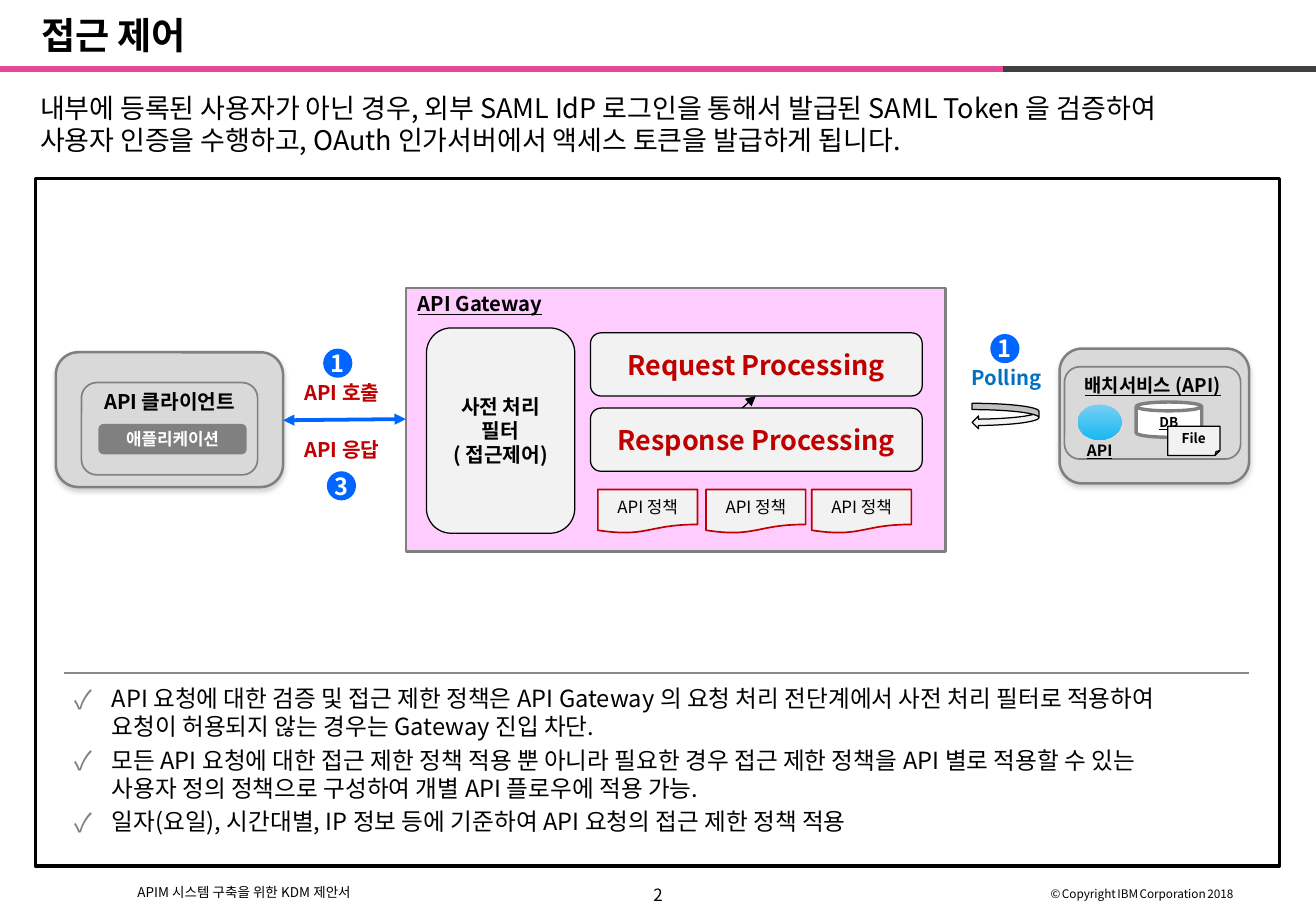
from lxml.etree import SubElement
from pptx import Presentation
from pptx.dml.color import RGBColor
from pptx.enum.shapes import MSO_CONNECTOR, MSO_SHAPE as SHAPE
from pptx.enum.text import MSO_ANCHOR as ANCHOR, PP_ALIGN as ALIGN
from pptx.oxml.ns import qn
from pptx.util import Inches, Pt

FONT = "Noto Sans CJK KR"
BLACK = RGBColor(0x00, 0x00, 0x00)
WHITE = RGBColor(0xFF, 0xFF, 0xFF)
PINK = RGBColor(0xE5, 0x49, 0x95)
CHARCOAL = RGBColor(0x40, 0x40, 0x40)
GRAY = RGBColor(0x80, 0x80, 0x80)
BULLET_GRAY = RGBColor(0x7F, 0x7F, 0x7F)
DIVIDER_GRAY = RGBColor(0x8A, 0x8A, 0x8A)
PANEL_GRAY = RGBColor(0xD9, 0xD9, 0xD9)
PALE_GRAY = RGBColor(0xF2, 0xF2, 0xF2)
LILAC = RGBColor(0xFF, 0xCC, 0xFF)
RED = RGBColor(0xC0, 0x00, 0x00)
BLUE = RGBColor(0x00, 0x66, 0xFF)
POLLING_BLUE = RGBColor(0x00, 0x70, 0xC0)
SKY_LIGHT = RGBColor(0x77, 0xCF, 0xF5)
SKY_DARK = RGBColor(0x19, 0xB9, 0xF0)

presentation = Presentation()
presentation.slide_width = Inches(10.83)
presentation.slide_height = Inches(7.5)
slide = presentation.slides.add_slide(presentation.slide_layouts[6])


def add_run(paragraph, text, size, color=BLACK, bold=False, underline=False):
    run = paragraph.add_run()
    run.text = text
    values = {"name": FONT, "size": Pt(size), "bold": bold, "underline": underline}
    for name, value in values.items():
        setattr(run.font, name, value)
    run.font.color.rgb = color
    SubElement(run.font._element, qn("a:ea"), typeface=FONT)


def add_item(kind, box, texts=(), fill=None, line=None, width=0.75, inset=(0.04, 0.04),
             anchor=ANCHOR.MIDDLE, align=ALIGN.CENTER, wrap=True, spacing=1.0, **font):
    lengths = [Inches(value) for value in box]
    if kind is None:
        shape = slide.shapes.add_textbox(*lengths)
    else:
        shape = slide.shapes.add_shape(kind, *lengths)
        shape.shadow.inherit = False
        if fill is None:
            shape.fill.background()
        else:
            shape.fill.solid()
            shape.fill.fore_color.rgb = fill
        if line is None:
            shape.line.fill.background()
        else:
            shape.line.color.rgb = line
            shape.line.width = Pt(width)
    frame = shape.text_frame
    side, top = Inches(inset[0]), Inches(inset[1])
    values = {"margin_left": side, "margin_right": side, "margin_top": top,
              "margin_bottom": top, "vertical_anchor": anchor, "word_wrap": wrap}
    for name, value in values.items():
        setattr(frame, name, value)
    for index, text in enumerate(texts):
        paragraph = frame.add_paragraph() if index else frame.paragraphs[0]
        paragraph.alignment = align
        paragraph.line_spacing = spacing
        add_run(paragraph, text, **font)
    return shape


add_item(None, (0.3, 0.1, 10.24, 0.42), ["접근 제어"], align=ALIGN.LEFT, spacing=0.9,
         size=22, bold=True)
add_item(None, (0.29, 0.71, 9.9, 0.76),
         ["내부에 등록된 사용자가 아닌 경우, 외부 SAML IdP 로그인을 통해서 발급된 SAML Token 을 검증하여 "
          "사용자 인증을 수행하고, OAuth 인가서버에서 액세스 토큰을 발급하게 됩니다."],
         anchor=ANCHOR.TOP, align=ALIGN.LEFT, size=16)
add_item(SHAPE.RECTANGLE, (0.29, 1.47, 10.24, 5.66), line=BLACK, width=2)

for box in [(0.46, 2.9, 1.87, 1.11), (8.72, 2.87, 1.56, 1.11)]:
    panel = add_item(SHAPE.ROUNDED_RECTANGLE, box, fill=PANEL_GRAY, line=GRAY, width=1.5)
    effects = panel._element.spPr.find(qn("a:effectLst"))
    shadow = SubElement(effects, qn("a:outerShdw"), blurRad=str(Pt(3.1)),
                        dist=str(Pt(1.8)), dir="5400000", rotWithShape="0")
    shadow_color = SubElement(shadow, qn("a:srgbClr"), val=str(GRAY))
    SubElement(shadow_color, qn("a:alpha"), val="35000")

for left, top, text, size, underline in [
    (0.67, 3.15, "API 클라이언트", 12, False),
    (8.76, 3.02, "배치서비스 (API)", 11.1, True),
]:
    add_item(SHAPE.ROUNDED_RECTANGLE, (left, top, 1.45, 0.76), [text], line=GRAY, width=1,
             anchor=ANCHOR.TOP, spacing=0.9, size=size, bold=True, underline=underline)
add_item(SHAPE.ROUNDED_RECTANGLE, (0.81, 3.49, 1.22, 0.25), ["애플리케이션"], fill=GRAY,
         size=10, color=WHITE, bold=True)

api_circle = add_item(SHAPE.OVAL, (8.87, 3.33, 0.36, 0.29))
api_circle.fill.gradient()
api_circle.fill.gradient_angle = 270
for stop, position, color in zip(api_circle.fill.gradient_stops, (0, 1), (SKY_LIGHT, SKY_DARK)):
    stop.position = position
    stop.color.rgb = color
add_item(None, (8.75, 3.59, 0.6, 0.23), ["API"], anchor=ANCHOR.TOP,
         size=9.2, bold=True, underline=True)
add_item(SHAPE.CAN, (9.35, 3.31, 0.54, 0.29), ["DB"], fill=WHITE, line=GRAY, width=2,
         inset=(0.1, 0.05), size=8, bold=True, underline=True)
add_item(SHAPE.FOLDED_CORNER, (9.61, 3.51, 0.43, 0.24), ["File"], fill=PALE_GRAY,
         line=BLACK, inset=(0.1, 0.05), wrap=False, size=8, bold=True)
add_item(SHAPE.CURVED_LEFT_ARROW, (8, 3.32, 0.55, 0.21), fill=PALE_GRAY, line=BLACK)

add_item(SHAPE.RECTANGLE, (3.34, 2.37, 4.44, 2.17), ["API Gateway"], fill=LILAC, line=GRAY,
         width=1.5, inset=(0.1, 0.05), anchor=ANCHOR.TOP, align=ALIGN.LEFT, spacing=0.9,
         size=12, bold=True, underline=True)
processing = {"fill": PALE_GRAY, "line": BLACK, "inset": (0.1, 0.05), "wrap": False, "bold": True}
add_item(SHAPE.ROUNDED_RECTANGLE, (4.86, 2.74, 2.73, 0.52), ["Request Processing"],
         size=16, color=RED, **processing)

for start_x, start_y, end_x, end_y, color, width, arrows in [
    (0, 0.57, 10.83, 0.57, PINK, 3.5, []),
    (8.25, 0.57, 10.83, 0.57, CHARCOAL, 3.5, []),
    (2.33, 3.46, 3.34, 3.45, BLUE, 2.25, ["a:headEnd", "a:tailEnd"]),
    (5.62, 3.79, 6.22, 3.26, BLACK, 0.75, ["a:tailEnd"]),
    (0.53, 5.54, 10.28, 5.54, DIVIDER_GRAY, 1, []),
]:
    connector = slide.shapes.add_connector(
        MSO_CONNECTOR.STRAIGHT, Inches(start_x), Inches(start_y), Inches(end_x), Inches(end_y))
    connector.line.color.rgb = color
    connector.line.width = Pt(width)
    for arrow in arrows:
        SubElement(connector.line._get_or_add_ln(), qn(arrow), type="triangle")
    SubElement(connector._element.spPr, qn("a:effectLst"))

add_item(SHAPE.ROUNDED_RECTANGLE, (4.86, 3.36, 2.73, 0.52), ["Response Processing"],
         size=16, color=RED, **processing)
add_item(SHAPE.ROUNDED_RECTANGLE, (3.51, 2.7, 1.22, 1.69), ["사전 처리", "필터", "( 접근제어)"],
         size=12, **processing)
for left in (4.92, 5.81, 6.68):
    add_item(SHAPE.FLOWCHART_DOCUMENT, (left, 4.03, 0.82, 0.36), ["API 정책"], fill=PALE_GRAY,
             line=RED, width=1, inset=(0.1, 0.05), wrap=False, size=10)

for left, top, number in [(2.66, 2.87, "1"), (2.69, 3.88, "3"), (8.15, 2.75, "1")]:
    add_item(SHAPE.OVAL, (left, top, 0.24, 0.24), [number], fill=BLUE, inset=(0, 0),
             wrap=False, size=14, color=WHITE, bold=True)
for left, top, width, text, color in [
    (2.09, 3.11, 1.45, "API 호출", RED),
    (2.09, 3.58, 1.45, "API 응답", RED),
    (7.87, 2.99, 0.83, "Polling", POLLING_BLUE),
]:
    add_item(None, (left, top, width, 0.26), [text], anchor=ANCHOR.TOP, spacing=0.9,
             size=12, color=color, bold=True)

policies = add_item(None, (0.61, 5.63, 9.3, 1.27), [
    "API 요청에 대한 검증 및 접근 제한 정책은 API Gateway 의 요청 처리 전단계에서 사전 처리 필터로 적용하여 "
    "요청이 허용되지 않는 경우는 Gateway 진입 차단.",
    "모든 API 요청에 대한 접근 제한 정책 적용 뿐 아니라 필요한 경우 접근 제한 정책을 API 별로 적용할 수 있는 "
    "사용자 정의 정책으로 구성하여 개별 API 플로우에 적용 가능.",
    "일자(요일), 시간대별, IP 정보 등에 기준하여 API 요청의 접근 제한 정책 적용",
], inset=(0, 0), anchor=ANCHOR.TOP, align=ALIGN.LEFT, size=14)
for index, paragraph in enumerate(policies.text_frame.paragraphs):
    paragraph.space_before = Pt(3 if index else 0)
    properties = paragraph._p.get_or_add_pPr()
    properties.set("marL", str(Inches(0.31)))
    properties.set("indent", str(-Inches(0.31)))
    bullet_color = SubElement(properties, qn("a:buClr"))
    SubElement(bullet_color, qn("a:srgbClr"), val=str(BULLET_GRAY))
    SubElement(properties, qn("a:buSzPct"), val="110000")
    SubElement(properties, qn("a:buFont"), typeface=FONT)
    SubElement(properties, qn("a:buChar"), char="✓")

add_item(None, (1.09, 7.24, 2.62, 0.21), ["APIM 시스템 구축을 위한 KDM 제안서"],
         align=ALIGN.LEFT, size=8)
add_item(None, (5.18, 7.29, 0.47, 0.16), ["2"], size=10)
copyright_box = add_item(None, (8.58, 7.26, 1.61, 0.2), ["©"], align=ALIGN.RIGHT,
                         wrap=False, size=7)
for word in ["Copyright", "IBM", "Corporation", "2018"]:
    add_run(copyright_box.text_frame.paragraphs[0], " ", 4)
    add_run(copyright_box.text_frame.paragraphs[0], word, 7)

presentation.save("out.pptx")
